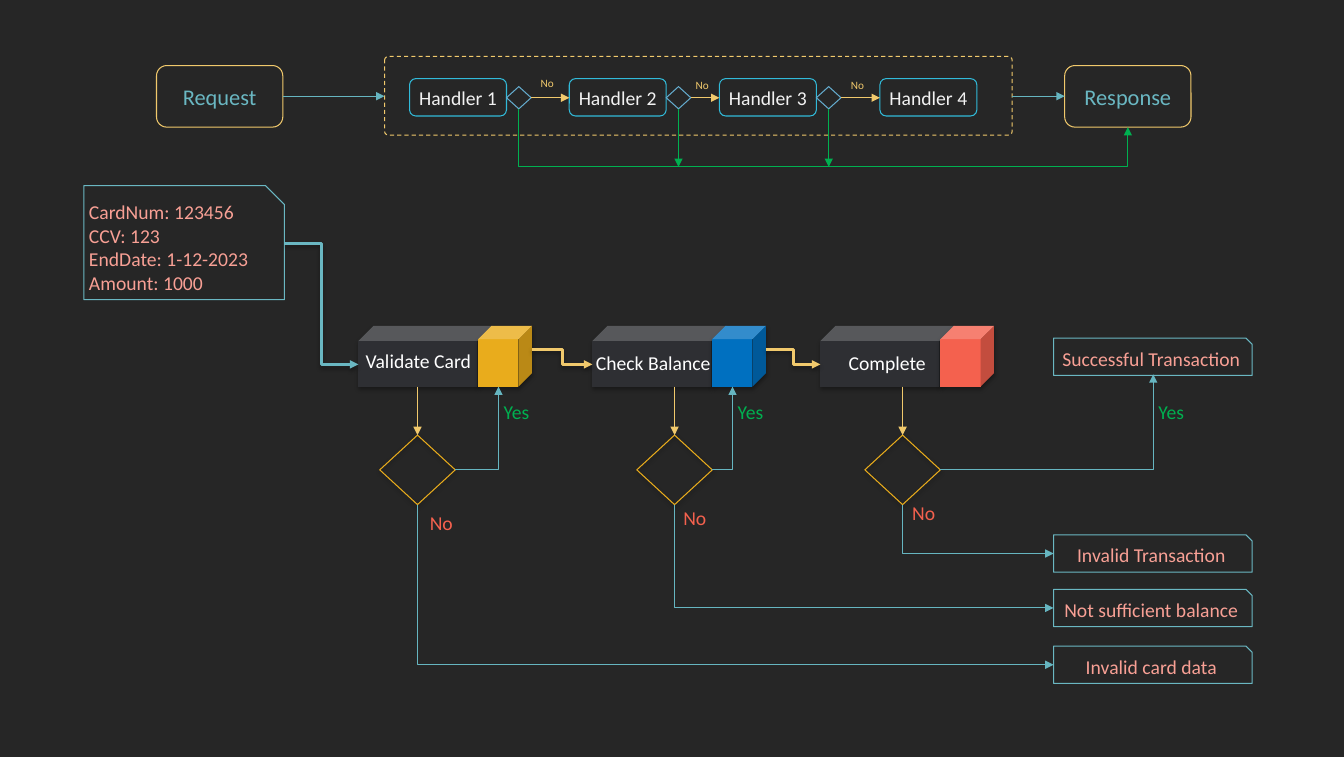
"""Chain of responsibility slide: handler chain above, card payment flow below."""
from dataclasses import dataclass
from itertools import pairwise
from typing import Any

from lxml import etree
from pptx import Presentation, dml, util as u
from pptx.dml import color
from pptx.enum import dml as ed, shapes as es, text as et
from pptx.oxml import ns

G = es.MSO_SHAPE
LEFT, CENTER = et.PP_ALIGN.LEFT, et.PP_ALIGN.CENTER
TOP, MIDDLE = et.MSO_ANCHOR.TOP, et.MSO_ANCHOR.MIDDLE


@dataclass(frozen=True)
class Theme:
    font: str = "Calibri"
    back: str = "262626"
    dark: str = "2E2F33"
    teal: str = "66B5C0"
    frame: str = "6AB7C2"
    cyan: str = "31BAD9"
    sky: str = "64ABCD"
    sand: str = "F1C96C"
    amber: str = "E9AC1C"
    blue: str = "0070C0"
    red: str = "F4614E"
    pink: str = "F8A095"
    green: str = "00B050"
    pale: str = "F2F2F2"
    white: str = "FFFFFF"
    large: int = 16
    normal: int = 14
    small: int = 8
    thin: float = 0.75
    thick: float = 2


@dataclass(frozen=True)
class Box:
    x: float
    y: float
    w: float
    h: float

    def lengths(self) -> list[int]:
        return [u.Cm(v) for v in (self.x, self.y, self.w, self.h)]


@dataclass(frozen=True)
class Step:
    label: str
    x: float
    label_box: Box
    align: Any
    accent: str
    mid_x: float
    yes: tuple[float, float]
    no: tuple[float, float]
    result: str
    result_y: float


T = Theme()
END_W, END_H, END_Y, END_MID = 3.18, 1.55, 1.65, 2.42
HANDLER_W, HANDLER_H, HANDLER_Y = 2.44, 0.94, 1.98
CHECK_W, CHECK_H, CHECK_MID, RETURN_Y = 0.62, 0.56, 2.46, 4.2
CUBE_Y, CUBE_H, CUBE_END, CUBE_IN, CUBE_OUT = 8.2, 1.53, 4.37, 9.17, 8.79
DIAMOND_W, DIAMOND_H, DIAMOND_Y = 1.9, 1.75, 10.95
RESULT_X, RESULT_W, RESULT_H, SUCCESS_Y = 26.52, 5.0, 0.94, 8.51

REQUEST = Box(3.94, END_Y, END_W, END_H)
RESPONSE = Box(26.8, END_Y, END_W, END_H)
CHAIN = Box(9.68, 1.42, 15.8, 1.98)
CARD = Box(2.11, 4.67, 5.05, 2.87)
HANDLER_XS = [10.31, 14.33, 18.11, 22.15]
CARD_LINES = ["CardNum: 123456", "CCV: 123", "EndDate: 1-12-2023", "Amount: 1000"]
STEPS = [
    Step("Validate Card", 9.02, Box(8.84, 8.64, 3.38, 0.86), CENTER, T.amber, 10.51,
         (12.55, 9.73), (10.69, 12.73), "Invalid card data", 16.26),
    Step("Check Balance", 14.91, Box(14.63, 8.71, 3.63, 0.86), CENTER, T.blue, 16.98,
         (18.44, 9.73), (17.07, 12.6), "Not sufficient balance", 14.83),
    Step("Complete", 20.65, Box(21.11, 8.69, 2.57, 0.86), LEFT, T.red, 22.72,
         (29.03, 9.42), (22.83, 12.47), "Invalid Transaction", 13.46),
]


def rgb(code: str) -> color.RGBColor:
    return color.RGBColor.from_string(code)


def set_effect(sp: Any, shadow: bool) -> None:
    spPr = sp._element.spPr
    effect = spPr.find(ns.qn("a:effectLst"))
    if effect is None:
        effect = etree.SubElement(spPr, ns.qn("a:effectLst"))
    if shadow:
        outer = etree.SubElement(effect, ns.qn("a:outerShdw"), blurRad="38100",
                                 dist="22860", dir="5400000", rotWithShape="0")
        black = etree.SubElement(outer, ns.qn("a:srgbClr"), val="000000")
        etree.SubElement(black, ns.qn("a:alpha"), val="35000")


def write(sp: Any, lines: list[str], ink: str, size: float, align: Any = CENTER,
          anchor: Any = MIDDLE, inset: float = 0.13) -> None:
    tf = sp.text_frame
    frame = dict(word_wrap=True, vertical_anchor=anchor, margin_left=u.Cm(inset),
                 margin_right=u.Cm(inset), margin_top=u.Cm(0.13), margin_bottom=u.Cm(0.13))
    for name, value in frame.items():
        setattr(tf, name, value)
    for i, line in enumerate(lines):
        p = tf.add_paragraph() if i else tf.paragraphs[0]
        p.alignment = align
        r = p.add_run()
        r.text = line
        for name, value in dict(name=T.font, size=u.Pt(size)).items():
            setattr(r.font, name, value)
        r.font.color.rgb = rgb(ink)


def add_shape(s: Any, kind: Any, box: Box, line: str = "", fill: str = "",
              shadow: bool = False) -> Any:
    sp = s.shapes.add_shape(kind, *box.lengths())
    sp.shadow.inherit = False
    for code, part in ((fill, sp.fill), (line, sp.line.fill)):
        if code:
            part.solid()
            part.fore_color.rgb = rgb(code)
        else:
            part.background()
    if line:
        sp.line.width = u.Pt(T.thin)
    set_effect(sp, shadow)
    return sp


def add_label(s: Any, label: str, box: Box, ink: str, size: float, align: Any = LEFT,
              inset: float = 0.13) -> None:
    write(s.shapes.add_textbox(*box.lengths()), [label], ink, size, align, TOP, inset)


def add_arrow(s: Any, x1: float, y1: float, x2: float, y2: float, ink: str,
              bend: str = "", weight: float = T.thin, shadow: bool = False) -> Any:
    kind = es.MSO_CONNECTOR.ELBOW if bend else es.MSO_CONNECTOR.STRAIGHT
    cx = s.shapes.add_connector(kind, *[u.Cm(v) for v in (x1, y1, x2, y2)])
    if bend:
        cx._element.spPr.prstGeom.set("prst", bend)
    cx.line.color.rgb = rgb(ink)
    cx.line.width = u.Pt(weight)
    etree.SubElement(cx.get_or_add_ln(), ns.qn("a:tailEnd"), type="triangle")
    set_effect(cx, shadow)
    return cx


def add_drop(s: Any, x1: float, y1: float, x2: float, y2: float, ink: str,
             bend: str = "bentConnector2") -> Any:
    cx = add_arrow(s, x1, y1, x2, y2, ink, bend)
    w, h = x2 - x1, y2 - y1
    turned = Box((x1 + x2 - h) / 2, (y1 + y2 - w) / 2, h, w)
    for name, value in zip(("left", "top", "width", "height"), turned.lengths()):
        setattr(cx, name, value)
    xfrm = cx._element.spPr.find(ns.qn("a:xfrm"))
    for name, value in dict(rot="16200000", flipH="1").items():
        xfrm.set(name, value)
    return cx


def add_result(s: Any, label: str, y: float) -> None:
    sp = add_shape(s, G.SNIP_1_RECTANGLE, Box(RESULT_X, y, RESULT_W, RESULT_H), T.frame)
    write(sp, [label], T.pink, T.normal)


def draw_chain(s: Any) -> None:
    for label, box in (("Request", REQUEST), ("Response", RESPONSE)):
        write(add_shape(s, G.ROUNDED_RECTANGLE, box, T.sand), [label], T.frame, T.large)
    chain = add_shape(s, G.ROUNDED_RECTANGLE, CHAIN, T.sand)
    chain.adjustments[0] = 0.05
    chain.line.dash_style = ed.MSO_LINE.DASH
    add_arrow(s, REQUEST.x + END_W, END_MID, CHAIN.x, END_MID, T.teal)
    add_arrow(s, CHAIN.x + CHAIN.w, END_MID, RESPONSE.x, END_MID, T.teal)
    for i, x in enumerate(HANDLER_XS, 1):
        sp = add_shape(s, G.ROUNDED_RECTANGLE, Box(x, HANDLER_Y, HANDLER_W, HANDLER_H), T.cyan)
        write(sp, [f"Handler {i}"], T.pale, T.normal)
    bottom = CHECK_MID + CHECK_H / 2
    for i, (x, after) in enumerate(pairwise(HANDLER_XS)):
        left, right = x + HANDLER_W, x + HANDLER_W + CHECK_W
        add_shape(s, G.FLOWCHART_DECISION, Box(left, bottom - CHECK_H, CHECK_W, CHECK_H), T.sky)
        add_arrow(s, right, CHECK_MID, after, CHECK_MID, T.sand)
        add_label(s, "No", Box((right + after) / 2 - 0.52, 1.83 if i else 1.78, 0.89, 0.61),
                  T.sand, T.small, CENTER, 0.25)
        mid = left + CHECK_W / 2
        if i:
            add_arrow(s, mid, bottom, mid, RETURN_Y, T.green)
        else:
            end_y = END_Y + END_H
            cx = add_drop(s, mid, bottom, RESPONSE.x + END_W / 2, end_y, T.green, "bentConnector3")
            reach = (RETURN_Y - bottom) / (end_y - bottom)
            cx._element.spPr.prstGeom.rewrite_guides([("adj1", round(reach * 100000))])


def draw_step(s: Any, step: Step) -> None:
    bottom, mid_y = DIAMOND_Y + DIAMOND_H, DIAMOND_Y + DIAMOND_H / 2
    for x, w, fill in ((step.x, 3.38, T.dark), (step.x + 3.02, 1.35, step.accent)):
        add_shape(s, G.CUBE, Box(x, CUBE_Y, w, CUBE_H), fill=fill, shadow=True)
    add_label(s, step.label, step.label_box, T.white, T.normal, step.align, 0.25)
    add_shape(s, G.FLOWCHART_DECISION,
              Box(step.mid_x - DIAMOND_W / 2, DIAMOND_Y, DIAMOND_W, DIAMOND_H), T.amber, shadow=True)
    add_arrow(s, step.mid_x, CUBE_Y + CUBE_H, step.mid_x, DIAMOND_Y, T.sand)
    add_arrow(s, step.mid_x + DIAMOND_W / 2, mid_y, *step.yes, T.teal, "bentConnector2")
    add_drop(s, step.mid_x, bottom, RESULT_X, step.result_y + RESULT_H / 2, T.teal)
    add_label(s, "Yes", Box(step.yes[0], 9.94, 1.1, 0.86), T.green, T.normal)
    add_label(s, "No", Box(*step.no, 1.1, 0.86), T.red, T.normal)
    add_result(s, step.result, step.result_y)


def draw_payment(s: Any) -> None:
    write(add_shape(s, G.SNIP_1_RECTANGLE, CARD, T.frame), CARD_LINES, T.pink, T.normal, LEFT)
    for step in STEPS:
        draw_step(s, step)
    add_result(s, "Successful Transaction", SUCCESS_Y)
    add_arrow(s, CARD.x + CARD.w, 6.12, STEPS[0].x, CUBE_IN, T.frame, "bentConnector3", T.thick, True)
    for a, b in pairwise(STEPS):
        add_arrow(s, a.x + CUBE_END, CUBE_OUT, b.x, CUBE_IN, T.sand, "bentConnector3", T.thick, True)


def main() -> None:
    prs = Presentation()
    prs.slide_width, prs.slide_height = u.Cm(33.83), u.Cm(19.05)
    s = prs.slides.add_slide(prs.slide_layouts[6])
    s.background.fill.solid()
    s.background.fill.fore_color.rgb = rgb(T.back)
    draw_chain(s)
    draw_payment(s)
    prs.save("out.pptx")


if __name__ == "__main__":
    main()
